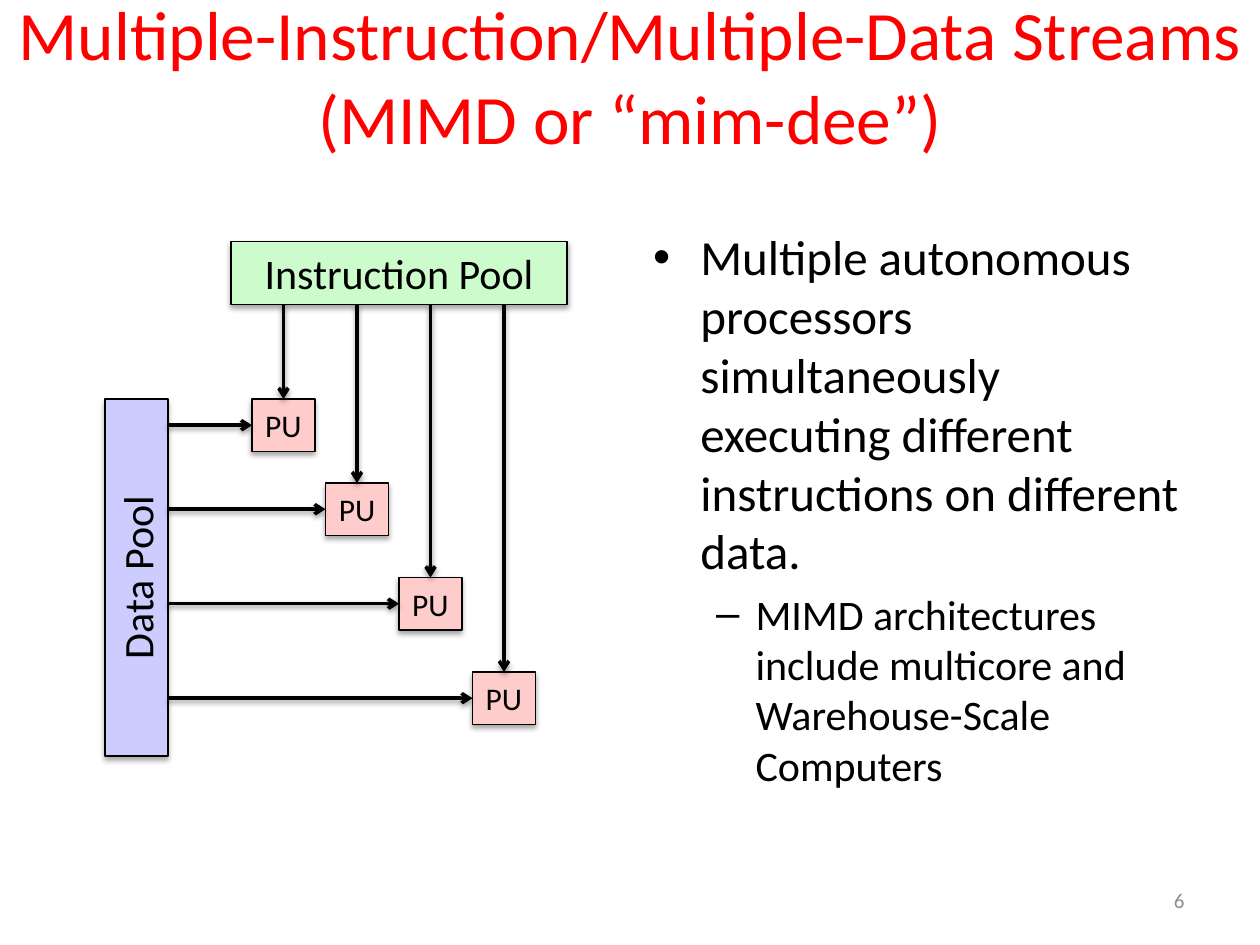
import dataclasses

import lxml.etree
import pptx
import pptx.dml.color
import pptx.enum.shapes
import pptx.enum.text
import pptx.oxml.ns
import pptx.util

EMU_PER_PX = 9525  # 96 px to the inch
FONT = "Calibri"
COLORS = {
    "title": "FF0000",
    "ink": "000000",
    "number": "8C8C8C",
    "instruction": "CCFCCC",
    "data": "CCCCFE",
    "unit": "FFCCCC",
}
ALIGN = pptx.enum.text.PP_ALIGN
ANCHOR = pptx.enum.text.MSO_ANCHOR


@dataclasses.dataclass(frozen=True)
class Box:
    left: int
    top: int
    width: int
    height: int

    @property
    def center_x(self) -> int:
        return self.left + self.width // 2

    @property
    def center_y(self) -> int:
        return self.top + self.height // 2

    def emu(self) -> list:
        return [px(value) for value in dataclasses.astuple(self)]


@dataclasses.dataclass(frozen=True)
class Block:
    label: str
    box: Box
    color: str
    size: int
    rotation: int = 0


TITLE = Box(-16, -3, 992, 120)
BODY = Box(488, 168, 424, 475)
NUMBER = Box(688, 667, 224, 38)
INSTRUCTION_POOL = Block("Instruction Pool", Box(176, 184, 256, 48), "instruction", 24)
DATA_POOL = Block("Data Pool", Box(-32, 416, 272, 48), "data", 24, 270)
INSTRUCTION_BOTTOM = INSTRUCTION_POOL.box.top + INSTRUCTION_POOL.box.height
DATA_RIGHT = DATA_POOL.box.center_x + DATA_POOL.box.height // 2
UNITS = [
    Block("PU", Box(192 + 56 * i, top, 48, 40), "unit", 18)
    for i, top in enumerate((304, 368, 440, 512))
]
BULLETS = [
    (0, 28, "Multiple autonomous processors simultaneously executing "
            "different instructions on different data."),
    (1, 24, "MIMD architectures include multicore and Warehouse-Scale Computers"),
]


def px(value: int) -> pptx.util.Emu:
    return pptx.util.Emu(value * EMU_PER_PX)


def rgb(name: str) -> pptx.dml.color.RGBColor:
    return pptx.dml.color.RGBColor.from_string(COLORS[name])


def apply(target, values: dict) -> None:
    """Set each named attribute of target."""
    for name, value in values.items():
        setattr(target, name, value)


def style_font(font, size: float, color: str) -> None:
    apply(font, {"name": FONT, "size": pptx.util.Pt(size)})
    font.color.rgb = rgb(color)


def place(shape, box: Box) -> None:
    apply(shape, dict(zip(("left", "top", "width", "height"), box.emu())))


def add_shadow(shape, opacity: int, distance: float) -> None:
    """Cast a soft black shadow straight down."""
    properties = shape._element.spPr
    for old in properties.findall(pptx.oxml.ns.qn("a:effectLst")):
        properties.remove(old)
    effects = lxml.etree.SubElement(properties, pptx.oxml.ns.qn("a:effectLst"))
    shadow = lxml.etree.SubElement(
        effects, pptx.oxml.ns.qn("a:outerShdw"),
        blurRad=str(pptx.util.Pt(3.1)), dist=str(pptx.util.Pt(distance)),
        dir="5400000", rotWithShape="0")
    color = lxml.etree.SubElement(
        shadow, pptx.oxml.ns.qn("a:srgbClr"), val=COLORS["ink"])
    lxml.etree.SubElement(
        color, pptx.oxml.ns.qn("a:alpha"), val=str(opacity * 1000))


def add_block(slide, block: Block):
    shape = slide.shapes.add_shape(
        pptx.enum.shapes.MSO_SHAPE.RECTANGLE, *block.box.emu())
    shape.rotation = block.rotation
    shape.fill.solid()
    shape.fill.fore_color.rgb = rgb(block.color)
    shape.line.color.rgb = rgb("ink")
    shape.line.width = pptx.util.Pt(0.75)
    add_shadow(shape, 35, 1.8)
    frame = shape.text_frame
    apply(frame, {"margin_left": 0, "margin_right": 0, "word_wrap": True,
                  "vertical_anchor": ANCHOR.MIDDLE})
    frame.text = block.label
    paragraph = frame.paragraphs[0]
    paragraph.alignment = ALIGN.CENTER
    style_font(paragraph.runs[0].font, block.size, "ink")
    return shape


def add_arrow(slide, start: tuple[int, int], end: tuple[int, int],
              unit, side: int) -> None:
    """Draw an arrow that is joined to one side of a processing unit."""
    arrow = slide.shapes.add_connector(
        pptx.enum.shapes.MSO_CONNECTOR.STRAIGHT,
        *(px(value) for value in start + end))
    arrow.end_connect(unit, side)
    arrow.line.color.rgb = rgb("ink")
    arrow.line.width = pptx.util.Pt(2)
    lxml.etree.SubElement(
        arrow.line._get_or_add_ln(), pptx.oxml.ns.qn("a:tailEnd"), type="arrow")
    add_shadow(arrow, 38, 1.6)


def fill_title(title) -> None:
    place(title, TITLE)
    frame = title.text_frame
    frame.text = "Multiple-Instruction/Multiple-Data Streams\v(MIMD or “mim-dee”)"
    apply(frame, {"word_wrap": True, "vertical_anchor": ANCHOR.MIDDLE,
                  "auto_size": pptx.enum.text.MSO_AUTO_SIZE.NONE})
    frame.paragraphs[0].alignment = ALIGN.CENTER
    for run in frame.paragraphs[0].runs:
        style_font(run.font, 39.6, "title")


def fill_body(body) -> None:
    place(body, BODY)
    frame = body.text_frame
    frame.text = "\n".join(text for _, _, text in BULLETS)
    frame.auto_size = pptx.enum.text.MSO_AUTO_SIZE.NONE
    for paragraph, (level, size, _) in zip(frame.paragraphs, BULLETS):
        paragraph.level = level
        style_font(paragraph.runs[0].font, size, "ink")


def add_slide_number(slide) -> None:
    frame = slide.shapes.add_textbox(*NUMBER.emu()).text_frame
    frame.text = "6"
    apply(frame, {"word_wrap": True, "vertical_anchor": ANCHOR.MIDDLE})
    frame.paragraphs[0].alignment = ALIGN.RIGHT
    style_font(frame.paragraphs[0].runs[0].font, 12, "number")


def main() -> None:
    deck = pptx.Presentation()
    apply(deck, {"slide_width": px(960), "slide_height": px(720)})
    slide = deck.slides.add_slide(deck.slide_layouts[1])
    fill_title(slide.shapes.title)
    fill_body(slide.placeholders[1])
    add_slide_number(slide)

    add_block(slide, INSTRUCTION_POOL)
    units = [add_block(slide, unit) for unit in UNITS]
    add_block(slide, DATA_POOL)
    for shape, unit in zip(units, UNITS):
        y = unit.box.center_y
        add_arrow(slide, (DATA_RIGHT, y), (unit.box.left, y), shape, 1)
    for shape, unit in zip(units, UNITS):
        x = unit.box.center_x
        add_arrow(slide, (x, INSTRUCTION_BOTTOM), (x, unit.box.top), shape, 0)
    deck.save("out.pptx")


if __name__ == "__main__":
    main()
